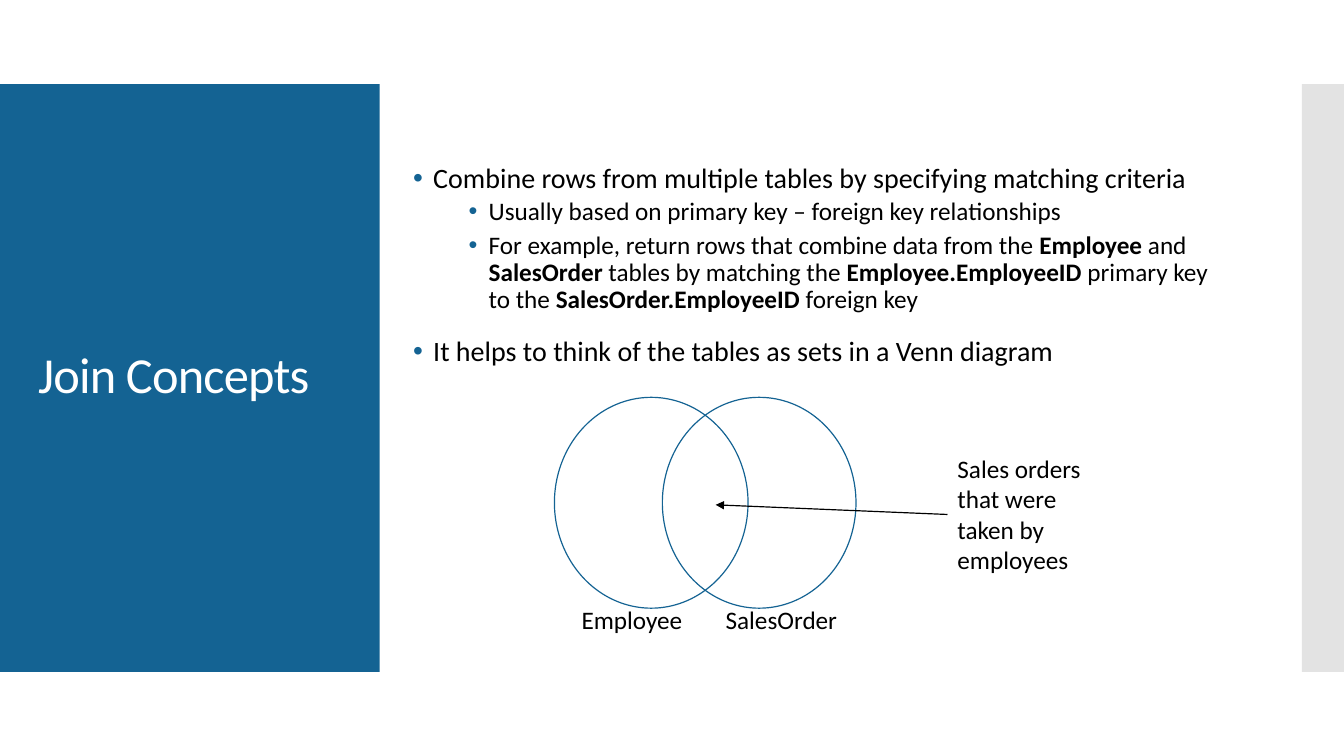
from lxml import etree
from pptx import Presentation
from pptx.dml.color import RGBColor
from pptx.enum.shapes import MSO_CONNECTOR, MSO_SHAPE
from pptx.enum.text import MSO_ANCHOR, MSO_AUTO_SIZE
from pptx.oxml.ns import qn
from pptx.util import Inches, Pt

RECT, OVAL = MSO_SHAPE.RECTANGLE, MSO_SHAPE.OVAL
LINE = MSO_CONNECTOR.STRAIGHT
TOP, MIDDLE = MSO_ANCHOR.TOP, MSO_ANCHOR.MIDDLE
GROW, FIXED = MSO_AUTO_SIZE.SHAPE_TO_FIT_TEXT, MSO_AUTO_SIZE.NONE
COLS, ROWS = 32, 18
WIDTH, HEIGHT = Inches(13.333), Inches(7.5)
HUES = {"blue": "146393", "gray": "C8C8C8", "white": "FFFFFF", "black": "000000"}


class Deck:
    """Draws styled elements on one slide, placed by grid columns and rows."""

    def __init__(self):
        self.prs = Presentation()
        self.prs.slide_width, self.prs.slide_height = WIDTH, HEIGHT
        self.slide = self.prs.slides.add_slide(self.prs.slide_layouts[6])
        self.shapes = self.slide.shapes
        self.font, self.stroke = "Calibri", Pt(0.85)

    def hue(self, name):
        return RGBColor.from_string(HUES[name])

    def place(self, col, row):
        return round(col * WIDTH / COLS), round(row * HEIGHT / ROWS)

    def shape(self, kind, col, row, wide, high):
        shape = self.shapes.add_shape(kind, *self.place(col, row), *self.place(wide, high))
        shape.shadow.inherit = False
        return shape

    def panel(self, col, row, wide, high, fill, alpha=100):
        shape = self.shape(RECT, col, row, wide, high)
        shape.fill.solid()
        shape.fill.fore_color.rgb = self.hue(fill)
        shape.line.fill.background()
        if alpha < 100:
            tint = shape.fill._xPr.find(qn("a:solidFill"))[0]
            etree.SubElement(tint, qn("a:alpha"), val=str(alpha * 1000))

    def ring(self, col, row, wide, high):
        shape = self.shape(OVAL, col, row, wide, high)
        shape.fill.background()
        shape.line.color.rgb = self.hue("blue")
        shape.line.width = self.stroke

    def box(self, col, row, wide, high, wrap=True, anchor=TOP, fit=FIXED):
        box = self.shapes.add_textbox(*self.place(col, row), *self.place(wide, high))
        frame = box.text_frame
        frame.word_wrap, frame.vertical_anchor, frame.auto_size = wrap, anchor, fit
        return box

    def run(self, para, text, size=18, hue="black", bold=False):
        run = para.add_run()
        run.text = text
        font = run.font
        font.name, font.size, font.bold = self.font, Pt(size), bold
        font.color.rgb = self.hue(hue)
        return run

    def label(self, text, *spot, wrap=False):
        box = self.box(*spot, wrap=wrap, fit=GROW)
        self.run(box.text_frame.paragraphs[0], text)
        return box

    def title(self, text, *spot):
        para = self.box(*spot, anchor=MIDDLE).text_frame.paragraphs[0]
        para.line_spacing = 0.9
        run = self.run(para, text, 36, "white")
        run.font._element.set("spc", "-60")

    def bullet(self, para, level, parts):
        size, left, before, after = ((20, 0.2, 14, 0), (18, 0.75, 2.5, 2.5))[level]
        para.level, para.line_spacing = level, 0.9
        para.space_before, para.space_after = Pt(before), Pt(after)
        props = para._p.get_or_add_pPr()
        props.set("marL", str(Inches(left)))
        props.set("indent", str(Inches(-0.2)))
        tint = etree.SubElement(props, qn("a:buClr"))
        etree.SubElement(tint, qn("a:srgbClr"), val=HUES["blue"])
        etree.SubElement(props, qn("a:buFont"), typeface="Arial")
        etree.SubElement(props, qn("a:buChar"), char="•")
        for turn, text in enumerate(parts):
            self.run(para, text, size, bold=turn % 2 == 1)

    def body(self, items, *spot):
        frame = self.box(*spot, anchor=MIDDLE).text_frame
        for turn, (level, parts) in enumerate(items):
            para = frame.add_paragraph() if turn else frame.paragraphs[0]
            self.bullet(para, level, parts)

    def arrow(self, box, side, col, row):
        tip = self.place(col, row)
        line = self.shapes.add_connector(LINE, *tip, *tip)
        line.begin_connect(box, side)
        line.line.color.rgb = self.hue("black")
        line.line.width = self.stroke
        etree.SubElement(line.line._get_or_add_ln(), qn("a:tailEnd"), type="triangle")
        etree.SubElement(line._element.spPr, qn("a:effectLst"))


ITEMS = [
    (0, ["Combine rows from multiple tables by specifying matching criteria"]),
    (1, ["Usually based on primary key – foreign key relationships"]),
    (1, ["For example, return rows that combine data from the ", "Employee", " and ",
         "SalesOrder", " tables by matching the ", "Employee.EmployeeID",
         " primary key to the ", "SalesOrder.EmployeeID", " foreign key"]),
    (0, ["It helps to think of the tables as sets in a Venn diagram"]),
]


def main():
    deck = Deck()
    deck.panel(0, 2, 9.04, 14, "blue")
    deck.panel(31, 2, 1, 14, "gray", 50)
    deck.title("Join Concepts", 0.67, 2.95, 7.73, 12.07)
    deck.body(ITEMS, 9.6, 2.04, 19.58, 8.59)
    for turn in range(2):
        deck.ring(13.2 + turn * 2.57, 9.46, 4.61, 5.02)
    deck.label("Employee", 13.61, 14.28, 2.9, 0.96)
    deck.label("SalesOrder", 17.04, 14.28, 3.17, 0.96)
    note = deck.label("Sales orders that were taken by employees",
                      22.56, 10.68, 4.2, 3.14, wrap=True)
    deck.arrow(note, 1, 17.04, 12.02)
    deck.prs.save("out.pptx")


if __name__ == "__main__":
    main()
